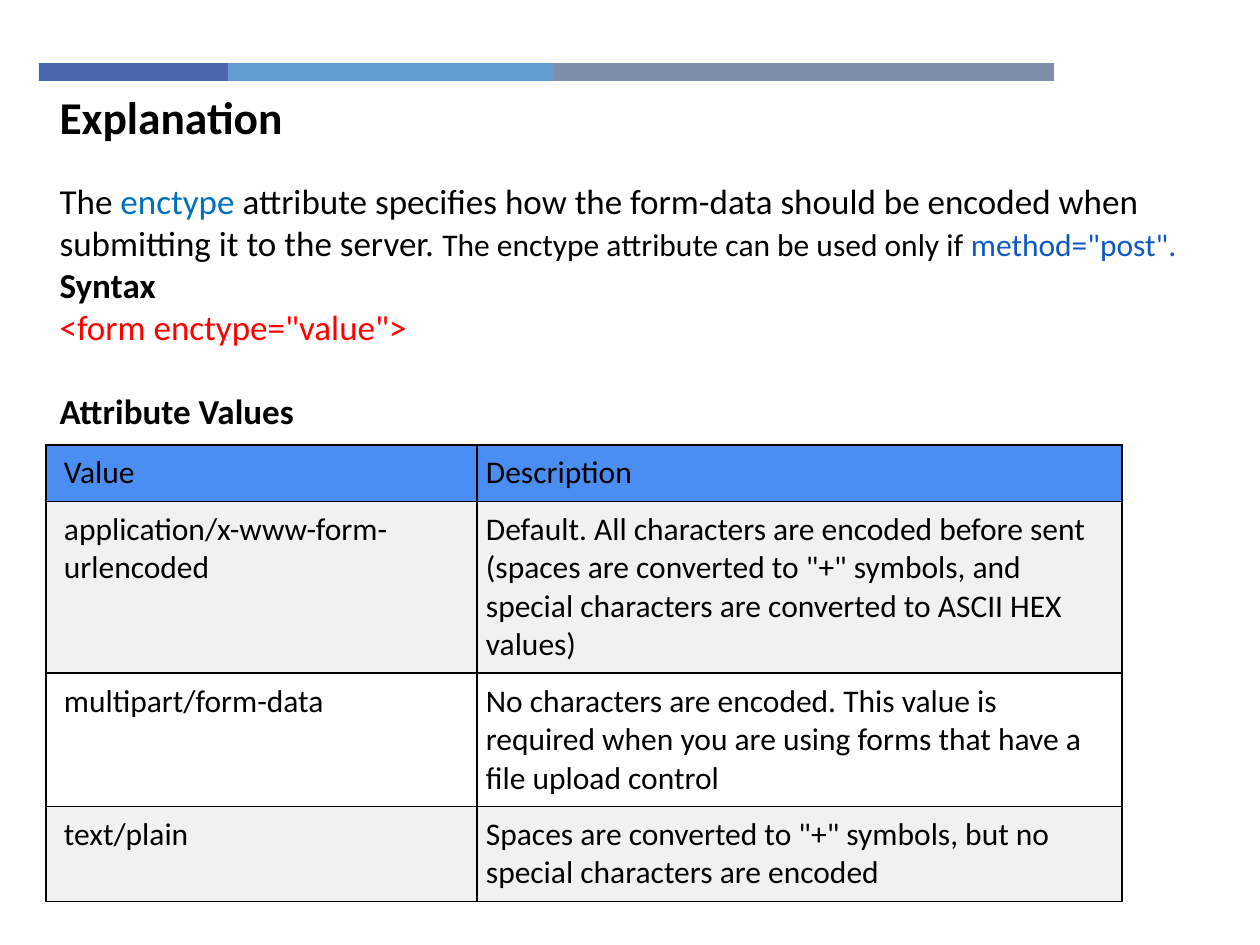
from lxml import etree
from pptx import Presentation
from pptx.dml.color import RGBColor
from pptx.enum.shapes import MSO_SHAPE as SHAPE
from pptx.enum.text import MSO_ANCHOR as ANCHOR, MSO_AUTO_SIZE as AUTO
from pptx.enum.text import PP_ALIGN as ALIGN
from pptx.oxml.ns import qn
from pptx.util import Emu, Pt

PX = 914400 // 126
FONT = "Calibri"
BLACK = RGBColor(0x00, 0x00, 0x00)
WHITE = RGBColor(0xFF, 0xFF, 0xFF)
RED = RGBColor(0xFF, 0x00, 0x00)
TERM_BLUE = RGBColor(0x00, 0x70, 0xC0)
METHOD_BLUE = RGBColor(0x0E, 0x58, 0xC4)
HEADER_BLUE = RGBColor(0x4A, 0x8E, 0xF2)
BAND_GREY = RGBColor(0xF1, 0xF1, 0xF1)
STRIPE_COLORS = (RGBColor(0x4A, 0x66, 0xAC), RGBColor(0x62, 0x9D, 0xD1),
                 RGBColor(0x7F, 0x8F, 0xA9))


def px(n):
    return Emu(n * PX)


def add_run(p, text, size=20, color=BLACK, bold=False):
    r = p.add_run()
    r.text = text
    r.font.name, r.font.size, r.font.bold = FONT, Pt(size), bold
    r.font.color.rgb = color


def place(sp, box, anchor):
    """Move a placeholder into a box and fix its text frame."""
    sp.left, sp.top, sp.width, sp.height = map(px, box)
    tf = sp.text_frame
    tf.word_wrap, tf.auto_size, tf.vertical_anchor = True, AUTO.NONE, anchor
    return tf


def add_stripe(slide, box, widths):
    x, y, _, h = box
    for w, color in zip(widths, STRIPE_COLORS):
        s = slide.shapes.add_shape(SHAPE.RECTANGLE, px(x), px(y), px(w), px(h))
        s.shadow.inherit = False
        s.fill.solid()
        s.fill.fore_color.rgb = color
        s.line.fill.background()
        x += w


def fill_title(slide, box, text):
    p = place(slide.shapes.title, box, ANCHOR.MIDDLE).paragraphs[0]
    p.alignment = ALIGN.LEFT
    add_run(p, text, size=26, bold=True)


def fill_body(slide, box, paragraphs):
    """Each paragraph is (space before in points, list of (text, format))."""
    tf = place(slide.placeholders[1], box, ANCHOR.TOP)
    for i, (gap, runs) in enumerate(paragraphs):
        p = tf.add_paragraph() if i else tf.paragraphs[0]
        p.space_before = Pt(gap)
        pPr = p._p.get_or_add_pPr()
        pPr.set("marL", "0")
        pPr.set("indent", "0")
        etree.SubElement(pPr, qn("a:buNone"))
        for text, fmt in runs:
            add_run(p, text, **fmt)


def set_borders(cell, color):
    tcPr = cell._tc.get_or_add_tcPr()
    for i, side in enumerate(("lnL", "lnR", "lnT", "lnB")):
        ln = etree.Element(qn("a:" + side), w=str(Pt(1)))
        fill = etree.SubElement(ln, qn("a:solidFill"))
        etree.SubElement(fill, qn("a:srgbClr"), val=str(color))
        tcPr.insert(i, ln)


def add_values_table(slide, box, widths, heights, rows):
    frame = slide.shapes.add_table(len(rows), len(widths), *map(px, box))
    table = frame.table
    for col, w in zip(table.columns, widths):
        col.width = px(w)
    for i, (row, h) in enumerate(zip(rows, heights)):
        table.rows[i].height = px(h)
        color = HEADER_BLUE if i == 0 else BAND_GREY if i % 2 else WHITE
        for j, text in enumerate(row):
            cell = table.cell(i, j)
            cell.margin_left = px(9 if j else 18)
            cell.margin_right = cell.margin_top = cell.margin_bottom = px(9)
            cell.fill.solid()
            cell.fill.fore_color.rgb = color
            set_borders(cell, BLACK)
            add_run(cell.text_frame.paragraphs[0], text, size=18)


BODY = [
    (0, [("The ", {}), ("enctype", {"color": TERM_BLUE}),
         (" attribute specifies how the form-data should be encoded when "
          "submitting it to the server. ", {}),
         ("The enctype attribute can be used only if ", {"size": 18}),
         ('method="post".', {"size": 18, "color": METHOD_BLUE})]),
    (0, [("Syntax", {"bold": True})]),
    (0, [('<form enctype="value">', {"color": RED})]),
    (24, [("Attribute Values", {"bold": True})]),
]
VALUES = [
    ("Value", "Description"),
    ("application/x-www-form-urlencoded",
     'Default. All characters are encoded before sent (spaces are converted '
     'to "+" symbols, and special characters are converted to ASCII HEX '
     'values)'),
    ("multipart/form-data",
     "No characters are encoded. This value is required when you are using "
     "forms that have a file upload control"),
    ("text/plain",
     'Spaces are converted to "+" symbols, but no special characters are '
     'encoded'),
]

prs = Presentation()
prs.slide_width, prs.slide_height = px(1260), px(945)
slide = prs.slides.add_slide(prs.slide_layouts[1])

# Coloured stripe, heading, explanation and table of values
add_stripe(slide, (39, 63, 1015, 18), (189, 325, 501))
fill_title(slide, (47, 82, 446, 68), "Explanation")
fill_body(slide, (47, 173, 1204, 394), BODY)
add_values_table(slide, (46, 445, 1076, 449), (431, 645),
                 (56, 169, 131, 93), VALUES)

prs.save("out.pptx")
